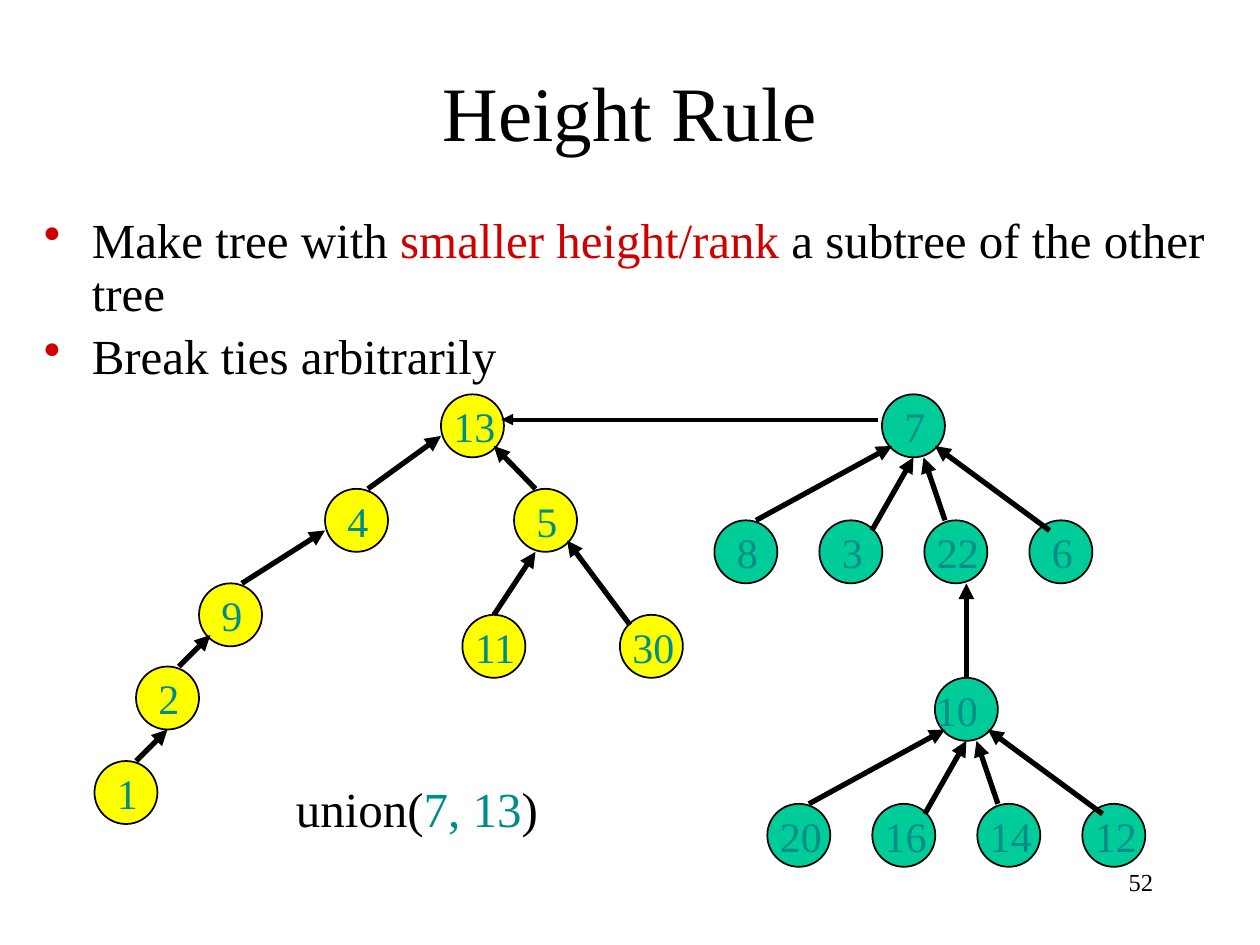
import pptx
import pptx.dml.color
import pptx.enum.shapes
import pptx.enum.text
import pptx.oxml
import pptx.oxml.ns
import pptx.util
from pptx.util import Inches

FONT = "Times New Roman"
COLORS = {
    "black": "000000",
    "red": "CE0000",
    "teal": "008C87",
    "yellow": "FFFF00",
    "green": "00CC99",
}
NODE = 0.5

YELLOW_NODES = [
    ("13", 3.5, 3.13), ("4", 2.58, 3.88), ("5", 4.08, 3.88), ("9", 1.58, 4.63),
    ("11", 3.67, 4.88), ("30", 4.92, 4.88), ("2", 1.08, 5.29), ("1", 0.75, 6.04),
]
YELLOW_EDGES = [
    ((2.92, 3.88), (3.5, 3.46)),
    ((4.25, 3.88), (3.92, 3.54)),
    ((1.92, 4.63), (2.58, 4.21)),
    ((3.92, 4.88), (4.25, 4.38)),
    ((5, 4.96), (4.5, 4.29)),
    ((1.42, 5.29), (1.67, 5.04)),
    ((1.08, 6.04), (1.33, 5.79)),
]
FAN_EDGES = [
    ((-1, 1), (0.08, 0.41)),
    ((-0.08, 1.08), (0.25, 0.5)),
    ((0.5, 1), (0.33, 0.5)),
    ((1.33, 1.08), (0.42, 0.41)),
]


def rgb(name):
    return pptx.dml.color.RGBColor.from_string(COLORS[name])


def add_runs(p, parts, size):
    for text, color in parts:
        r = p.add_run()
        r.text = text
        r.font.name = FONT
        r.font.size = pptx.util.Pt(size)
        r.font.color.rgb = rgb(color)


def add_text(s, x, y, w, h, parts, size, align="LEFT", anchor="TOP"):
    tf = s.shapes.add_textbox(Inches(x), Inches(y), Inches(w), Inches(h)).text_frame
    tf.word_wrap = True
    tf.vertical_anchor = getattr(pptx.enum.text.MSO_ANCHOR, anchor)
    p = tf.paragraphs[0]
    p.alignment = getattr(pptx.enum.text.PP_ALIGN, align)
    add_runs(p, parts, size)
    return tf


def format_bullet(p):
    pPr = p._p.get_or_add_pPr()
    pPr.set("marL", str(Inches(0.38)))
    pPr.set("indent", str(Inches(-0.38)))
    ns = pptx.oxml.ns.nsdecls("a")
    for xml in (
        f'<a:buClr {ns}><a:srgbClr val="{COLORS["red"]}"/></a:buClr>',
        f'<a:buChar {ns} char="•"/>',
    ):
        pPr.append(pptx.oxml.parse_xml(xml))
    p.line_spacing = 0.9


def add_bullets(s, x, y, w, h, items):
    tf = s.shapes.add_textbox(Inches(x), Inches(y), Inches(w), Inches(h)).text_frame
    tf.word_wrap = True
    for i, parts in enumerate(items):
        p = tf.add_paragraph() if i else tf.paragraphs[0]
        format_bullet(p)
        if i:
            p.space_before = pptx.util.Pt(5.6)
        add_runs(p, parts, 28)


def add_node(s, label, x, y, fill, label_dx=None):
    sp = s.shapes.add_shape(pptx.enum.shapes.MSO_SHAPE.OVAL,
                            Inches(x), Inches(y), Inches(NODE), Inches(NODE))
    sp.shadow.inherit = False
    sp.fill.solid()
    sp.fill.fore_color.rgb = rgb(fill)
    sp.line.color.rgb = rgb("black")
    sp.line.width = pptx.util.Pt(1)
    dx, w = (0.08, 0.33) if len(label) == 1 else (0, 0.75)
    if label_dx is not None:
        dx = label_dx
    add_text(s, x + dx, y, w, NODE, [(label, "teal")], 24)


def add_arrow(s, start, end, width=3):
    points = [Inches(v) for v in (*start, *end)]
    c = s.shapes.add_connector(pptx.enum.shapes.MSO_CONNECTOR.STRAIGHT, *points)
    c.line.color.rgb = rgb("black")
    c.line.width = pptx.util.Pt(width)
    ns = pptx.oxml.ns.nsdecls("a")
    c.line._get_or_add_ln().append(
        pptx.oxml.parse_xml(f'<a:tailEnd {ns} type="triangle"/>'))
    c._element.spPr.append(pptx.oxml.parse_xml(f"<a:effectLst {ns}/>"))


def add_fan(s, root, x, y, children, label_dx=None):
    add_node(s, root, x, y, "green", label_dx)
    for i, label in enumerate(children):
        add_node(s, label, x - 1.33 + i * 2.5 / 3, y + 1, "green")
    for (x1, y1), (x2, y2) in FAN_EDGES:
        add_arrow(s, (x + x1, y + y1), (x + x2, y + y2))


def main():
    prs = pptx.Presentation()
    prs.slide_width = Inches(10)
    prs.slide_height = Inches(7.5)
    s = prs.slides.add_slide(prs.slide_layouts[6])

    add_text(s, 7.17, 6.83, 2.08, 0.5, [("52", "black")], 14, "RIGHT")
    add_text(s, 0.75, 0.25, 8.5, 1.25, [("Height Rule", "black")], 44, "CENTER", "MIDDLE")
    add_bullets(s, 0.25, 1.67, 9.75, 0.67, [
        [("Make tree with ", "black"), ("smaller height/rank", "red"),
         (" a subtree of the other tree", "black")],
        [("Break ties arbitrarily", "black")],
    ])

    for label, x, y in YELLOW_NODES:
        add_node(s, label, x, y, "yellow")
    for start, end in YELLOW_EDGES:
        add_arrow(s, start, end)

    add_fan(s, "7", 7, 3.13, ["8", "3", "22", "6"])
    add_fan(s, "10", 7.42, 5.38, ["20", "16", "14", "12"], label_dx=-0.09)
    add_arrow(s, (7.67, 5.38), (7.67, 4.63))

    add_text(s, 2.25, 6.13, 2.58, 0.57,
             [("union(", "black"), ("7, 13", "teal"), (")", "black")], 28)
    add_arrow(s, (6.97, 3.33), (3.98, 3.33), 2.25)
    prs.save("out.pptx")


if __name__ == "__main__":
    main()
